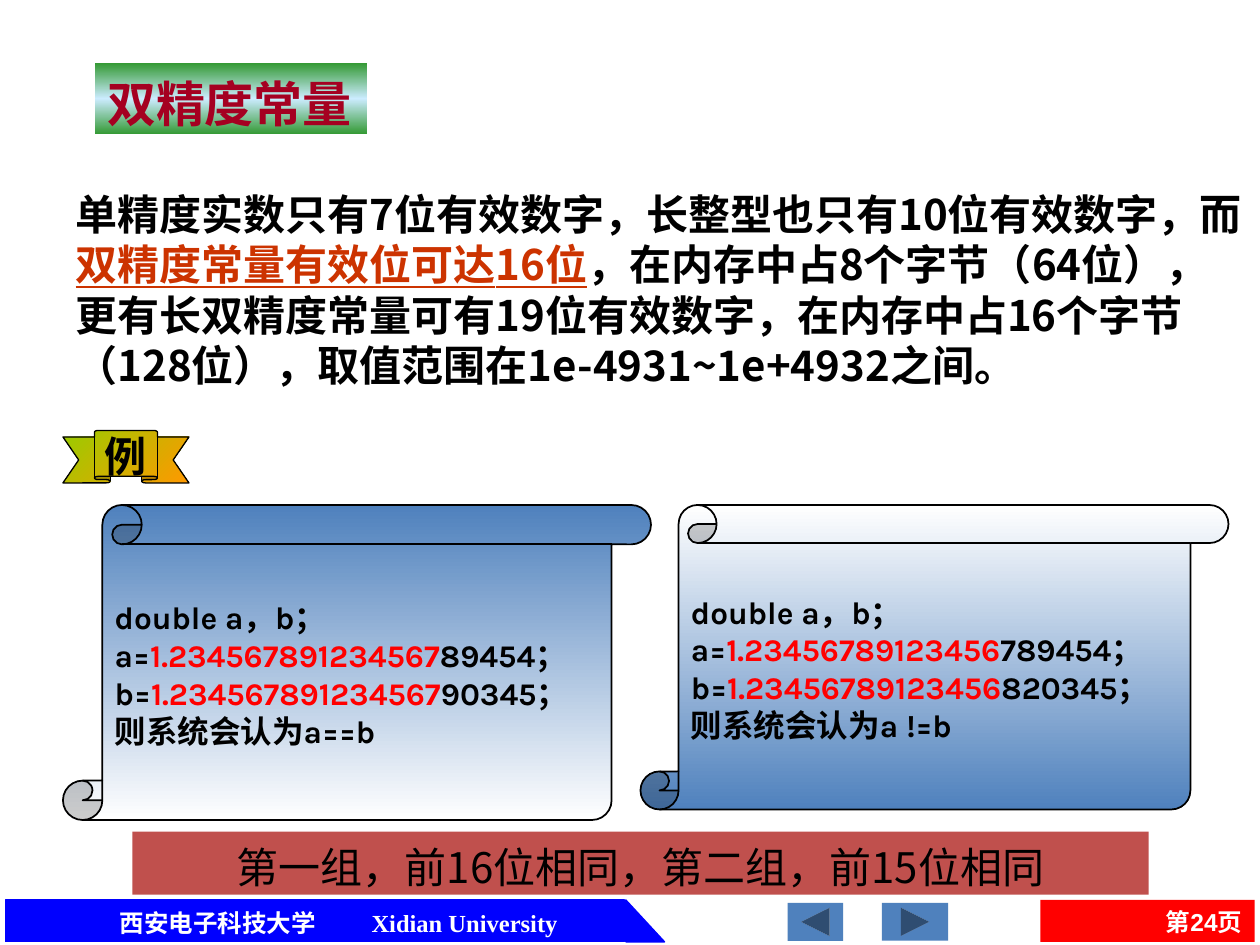
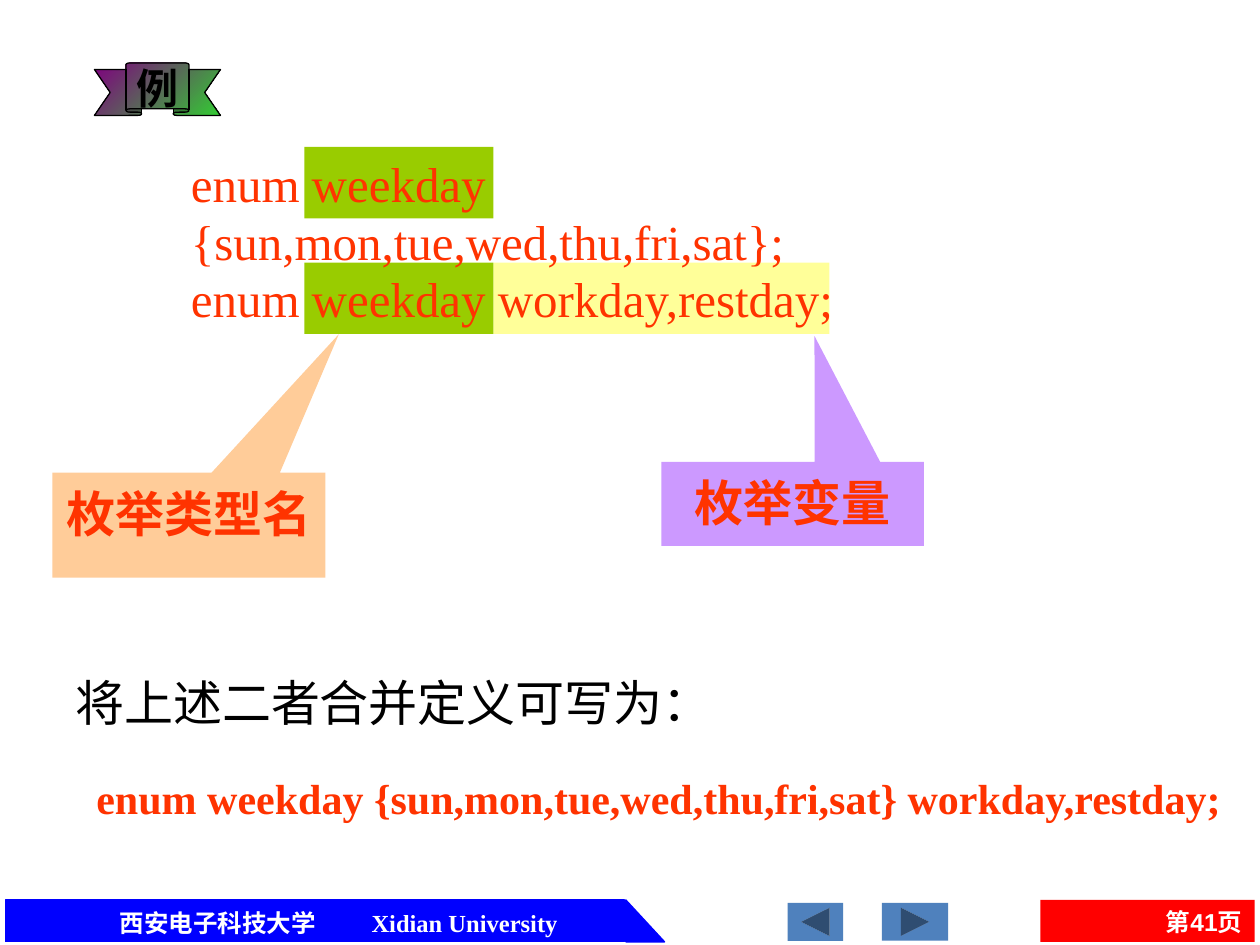
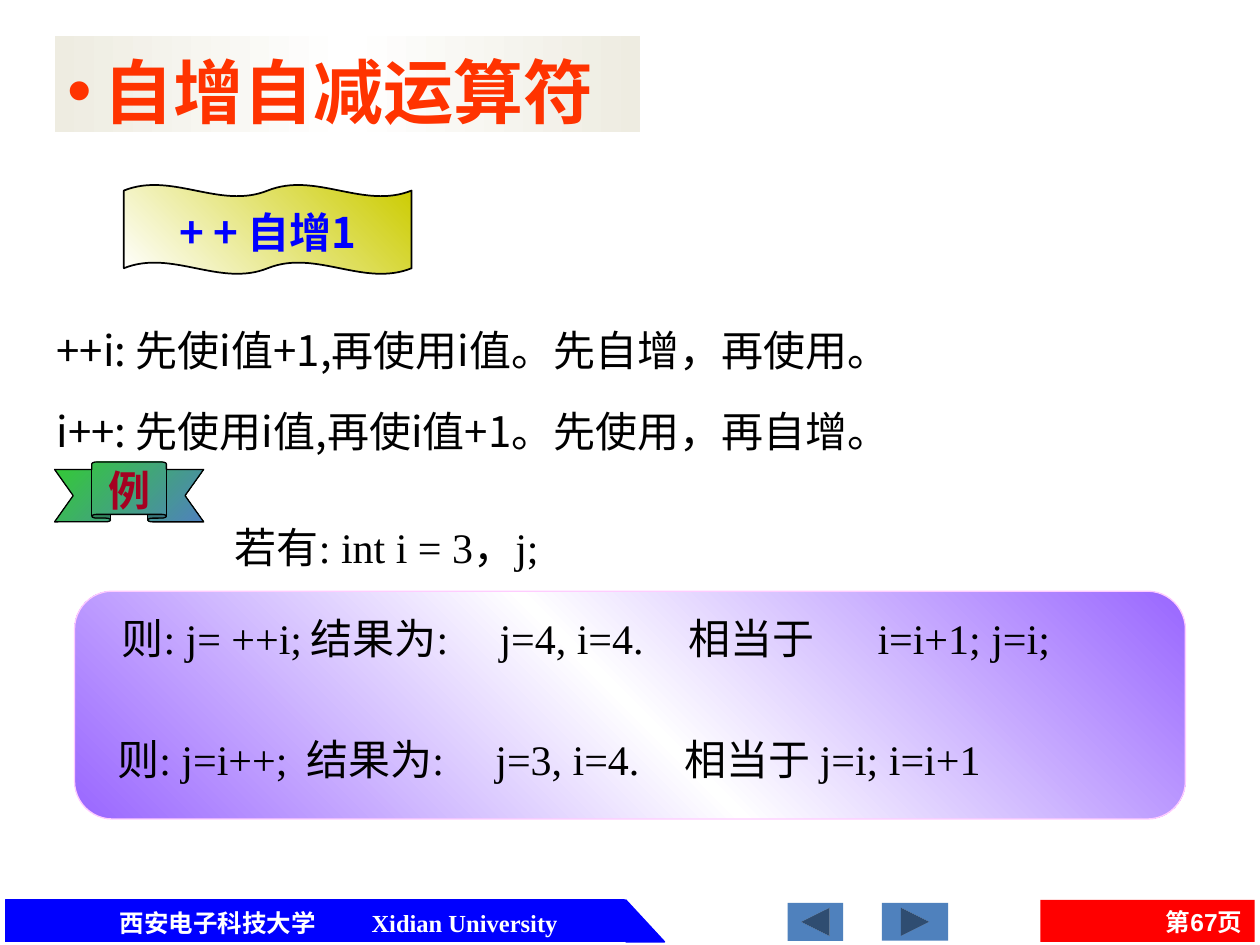
"""Build three lecture slides on C constants, enums and increments."""
from lxml import etree
from pptx import Presentation
from pptx import util as u
from pptx.dml.color import RGBColor
from pptx.enum import shapes, text
from pptx.oxml.ns import qn

BLACK = RGBColor(0x00, 0x00, 0x00)
WHITE = RGBColor(0xFF, 0xFF, 0xFF)
BLUE = RGBColor(0x00, 0x00, 0xFF)
RED = RGBColor(0xFF, 0x00, 0x00)
WINE = RGBColor(0xA5, 0x00, 0x21)
RUST = RGBColor(0xCC, 0x33, 0x00)
FLAME = RGBColor(0xFF, 0x33, 0x00)
STEEL = RGBColor(0x4F, 0x81, 0xBD)
BRICK = RGBColor(0xC0, 0x50, 0x4D)
GREEN = RGBColor(0x33, 0x99, 0x33)
ICE = RGBColor(0xCC, 0xEC, 0xFF)
LIME = RGBColor(0x99, 0xCC, 0x00)
AMBER = RGBColor(0xFF, 0x99, 0x00)
LEMON = RGBColor(0xFF, 0xFF, 0x99)
LILAC = RGBColor(0xCC, 0x99, 0xFF)
PEACH = RGBColor(0xFF, 0xCC, 0x99)
PLUM = RGBColor(0x80, 0x00, 0x80)
LEAF = RGBColor(0x33, 0xCC, 0x33)
GRAPE = RGBColor(0x99, 0x66, 0xFF)
PINK = RGBColor(0xFF, 0xCC, 0xFF)
SAND = RGBColor(0xEE, 0xEC, 0xE1)
OLIVE = RGBColor(0xCC, 0xCC, 0x00)

SERIF, SANS, ROUND, ARIAL = "Times New Roman", "Noto Sans CJK SC", "Karla", "Arial"
KIND = shapes.MSO_SHAPE
LEFT, MID, RIGHT = text.PP_ALIGN.LEFT, text.PP_ALIGN.CENTER, text.PP_ALIGN.RIGHT
TOP, HALF = text.MSO_ANCHOR.TOP, text.MSO_ANCHOR.MIDDLE
COLS, ROWS = 120, 90
BASE = {"name": SERIF, "size": 24, "bold": False, "underline": False, "color": BLACK}
TAG = {"size": 28, "bold": True, "color": FLAME}


class Deck:
    """Hold the shared style and the current slide."""

    def __init__(self):
        self.prs = Presentation()
        self.prs.slide_width, self.prs.slide_height = u.Inches(10), u.Inches(7.5)
        self.slide = None

    def box(self, cells):
        """Turn grid columns and rows into slide lengths."""
        wide, high = self.prs.slide_width / COLS, self.prs.slide_height / ROWS
        return [round(n * size) for n, size in zip(cells, (wide, high) * 2)]

    def start(self, page, layout):
        """Add a slide with its footer."""
        self.slide = self.prs.slides.add_slide(self.prs.slide_layouts[layout])
        self.shape(KIND.RECTANGLE, (0.5, 85.7, 59, 4), BLUE, line=(BLUE, 0.75))
        self.shape(KIND.RIGHT_TRIANGLE, (59.6, 85.7, 3.7, 4), BLUE, line=(BLUE, 0.75))
        self.note((10.2, 85.7, 46.9, 4), ["西安电子科技大学\tXidian University"],
                  {"size": 14, "bold": True, "color": WHITE}, tabs=[1.7])
        foot = self.shape(KIND.RECTANGLE, (99.1, 85.7, 20.4, 4), RED)
        self.label(foot, [f"第{page}页"],
                   {"name": ARIAL, "size": 14, "bold": True, "color": WHITE},
                   align=RIGHT, anchor=HALF)
        for left, wide, turn in ((84, 6.3, 0), (75, 5.3, 180)):
            key = self.shape(KIND.ACTION_BUTTON_FORWARD_OR_NEXT, (left, 86, wide, 3.6), STEEL)
            key.rotation = turn

    def paint(self, shape, fill):
        """Fill with one colour, or with a blend of an angle and colours."""
        if isinstance(fill, RGBColor):
            shape.fill.solid()
            shape.fill.fore_color.rgb = fill
            return
        angle, *tones = fill
        shape.fill.gradient()
        shape.fill.gradient_angle = (360 - angle) % 360
        stops = shape._element.spPr.find(qn("a:gradFill")).find(qn("a:gsLst"))
        for stop in list(stops):
            stops.remove(stop)
        for i, tone in enumerate(tones):
            stop = etree.SubElement(stops, qn("a:gs"), pos=str(100000 * i // (len(tones) - 1)))
            etree.SubElement(stop, qn("a:srgbClr"), val=str(tone))

    def shape(self, kind, cells, fill, line=None, adjust=()):
        """Add a preset shape."""
        item = self.slide.shapes.add_shape(kind, *self.box(cells))
        item.shadow.inherit = False
        self.paint(item, fill)
        if line:
            item.line.color.rgb, item.line.width = line[0], u.Pt(line[1])
        else:
            item.line.fill.background()
        for i, value in enumerate(adjust):
            item.adjustments[i] = value
        return item

    def label(self, shape, paras, form, align=LEFT, anchor=TOP, wrap=True,
              gap=0, tabs=(), bullet=None):
        """Set text; a paragraph is a string or a list of strings and (string, format) pairs."""
        style = {**BASE, **form}
        frame = shape.text_frame
        plain = all(isinstance(p, str) and p.isascii() for p in paras)
        drop = 0 if plain else style["size"] / 800
        for name, value in {"auto_size": text.MSO_AUTO_SIZE.NONE, "word_wrap": wrap,
                            "vertical_anchor": anchor,
                            "margin_top": u.Inches(0.05 + drop)}.items():
            setattr(frame, name, value)
        for i, parts in enumerate(paras):
            para = frame.add_paragraph() if i else frame.paragraphs[0]
            self.mark(para, bullet, tabs)
            for name, value in {"alignment": align, "line_spacing": u.Pt(style["size"] * 1.2),
                                "space_before": u.Pt(gap if i else 0),
                                "space_after": u.Pt(0)}.items():
                setattr(para, name, value)
            for part in [parts] if isinstance(parts, str) else parts:
                words, more = (part, {}) if isinstance(part, str) else part
                self.run(para, words, {**style, **more})

    def mark(self, para, bullet, tabs):
        """Set the bullet, indent and tab stops of a paragraph."""
        props = para._p.get_or_add_pPr()
        inset = u.Inches(0.29) if bullet else 0
        props.set("marL", str(inset))
        props.set("indent", str(-inset))
        if bullet:
            etree.SubElement(props, qn("a:buFont"), typeface=ARIAL)
            etree.SubElement(props, qn("a:buChar"), char=bullet)
        else:
            etree.SubElement(props, qn("a:buNone"))
        if tabs:
            stops = etree.SubElement(props, qn("a:tabLst"))
            for stop in tabs:
                etree.SubElement(stops, qn("a:tab"), pos=str(u.Inches(stop)), algn="l")

    def run(self, para, words, style):
        """Add one run of text."""
        run = para.add_run()
        run.text = words
        for name, value in style.items():
            if name == "color":
                run.font.color.rgb = value
            else:
                setattr(run.font, name, u.Pt(value) if name == "size" else value)
        etree.SubElement(run._r.get_or_add_rPr(), qn("a:ea"), typeface=SANS)

    def note(self, cells, paras, form, **more):
        """Add a text box."""
        item = self.slide.shapes.add_textbox(*self.box(cells))
        self.label(item, paras, form, **more)

    def place(self, index, cells, paras, form, fill=None, **more):
        """Move and fill a title or body placeholder."""
        item = self.slide.placeholders[index]
        item.left, item.top, item.width, item.height = self.box(cells)
        if fill:
            self.paint(item, fill)
        self.label(item, paras, form, **more)

    def ribbon(self, cells, tones, color=BLACK):
        """Add an example ribbon."""
        item = self.shape(KIND.UP_RIBBON, cells, (45, *tones), (BLACK, 0.75), (0.125, 0.5))
        self.label(item, ["例"], {"name": ROUND, "bold": True, "color": color},
                   align=MID, anchor=HALF, wrap=False)

    def scroll(self, cells, tones, same, tails, verdict):
        """Add a scroll that compares two numbers."""
        item = self.shape(KIND.VERTICAL_SCROLL, cells, (90, *tones), (BLACK, 1), (0.125,))
        sums = [[f"{name}=", (same, {"color": RED}), f"{tail}；"]
                for name, tail in zip("ab", tails)]
        self.label(item, ["double a，b；", *sums, f"则系统会认为{verdict}"],
                   {"name": ROUND, "size": 18, "bold": True}, anchor=HALF)

    def call(self, cells, fill, tip, words):
        """Add a callout."""
        item = self.shape(KIND.RECTANGULAR_CALLOUT, cells, fill, adjust=tip)
        self.label(item, [words], TAG, align=MID)


def double(deck):
    """Build the slide on double constants."""
    deck.start(24, 1)
    deck.place(1, (6, 17, 114, 20.6), [[
        "单精度实数只有7位有效数字，长整型也只有10位有效数字，而",
        ("双精度常量有效位可达16位", {"color": RUST, "underline": True}),
        "，在内存中占8个字节（64位），更有长双精度常量可有19位有效数字，"
        "在内存中占16个字节（128位），取值范围在1e-4931~1e+4932之间。",
    ]], {"name": SANS, "bold": True})
    deck.place(0, (9, 6, 26, 6.8), ["双精度常量"], {**TAG, "color": WINE},
               fill=(90, GREEN, ICE, GREEN))
    deck.scroll((6, 48.1, 56, 30), (STEEL, WHITE), "1.234567891234567",
                ("89454", "90345"), "a==b")
    deck.ribbon((6, 41, 12, 5), (LIME, AMBER))
    deck.scroll((61, 48.1, 56, 29), (WHITE, STEEL), "1.23456789123456",
                ("789454", "820345"), "a !=b")
    bar = deck.shape(KIND.RECTANGLE, (12.6, 79.2, 96.8, 6), BRICK)
    deck.label(bar, ["第一组，前16位相同，第二组，前15位相同"], {"name": SANS}, align=MID)


def enums(deck):
    """Build the slide on enum types."""
    deck.start(41, 6)
    deck.shape(KIND.RECTANGLE, (47, 25, 32, 6.8), LEMON)
    deck.call((63, 44, 25, 8), LILAC, (0.083, -2), "枚举变量")
    for row in (14, 25):
        deck.shape(KIND.RECTANGLE, (29, row, 18, 6.8), LIME)
    deck.call((5, 45, 26, 10), PEACH, (0.549, -1.817), "枚举类型名")
    deck.ribbon((9, 6, 12, 5), (PLUM, LEAF))
    for row, code in ((14, "enum weekday {sun,mon,tue,wed,thu,fri,sat};"),
                      (25, "enum weekday workday,restday;")):
        deck.note((17, row, 86, 6.8), [code], {"size": 28, "color": FLAME})
    deck.note((8, 73, 112, 6),
              ["enum weekday {sun,mon,tue,wed,thu,fri,sat} workday,restday;"],
              {"bold": True, "color": FLAME})
    deck.note((6, 63, 67, 6.8), ["将上述二者合并定义可写为："], {"size": 28})


def steps(deck):
    """Build the slide on increment operators."""
    deck.start(67, 1)
    deck.shape(KIND.FLOWCHART_ALTERNATE_PROCESS, (7.1, 56.3, 105.8, 21.7),
               (315, GRAPE, WHITE, GRAPE), (PINK, 0.75))
    deck.note((21.2, 48.7, 42.5, 6), ["若有: int i = 3，j;"], {})
    deck.place(1, (4.2, 29.9, 104.4, 13.6), [
        "++i: 先使i值+1,再使用i值。先自增，再使用。",
        "i++: 先使用i值,再使i值+1。先使用，再自增。",
    ], {"name": SANS}, gap=17.5)
    for left, row, words in (
            (10.4, 57.4, "则: j= ++i;\t结果为:\tj=4, i=4.\t相当于\ti=i+1; j=i;"),
            (10, 68.9, "则: j=i++;\t结果为:\tj=3, i=4.\t相当于 j=i; i=i+1")):
        deck.note((left, row, 102, 6), [words], {}, tabs=[1.76, 3.17, 4.49, 5.72])
    deck.place(0, (5.2, 3.4, 55.8, 9.2), ["自增自减运算符"], {**TAG, "size": 40},
               fill=(0, SAND, WHITE, SAND), bullet="•")
    wave = deck.shape(KIND.DOUBLE_WAVE, (11.8, 17.6, 27.4, 8.5), (315, WHITE, OLIVE),
                      (BLACK, 1), (0.065, 0))
    deck.label(wave, ["+ + 自增1"], {"name": SANS, "bold": True, "color": BLUE},
               align=MID, anchor=HALF, wrap=False)
    deck.ribbon((5.2, 44, 14.2, 5.7), (LEAF, STEEL), WINE)


def main():
    """Build and save the deck."""
    deck = Deck()
    for build in (double, enums, steps):
        build(deck)
    deck.prs.save("out.pptx")


if __name__ == "__main__":
    main()
